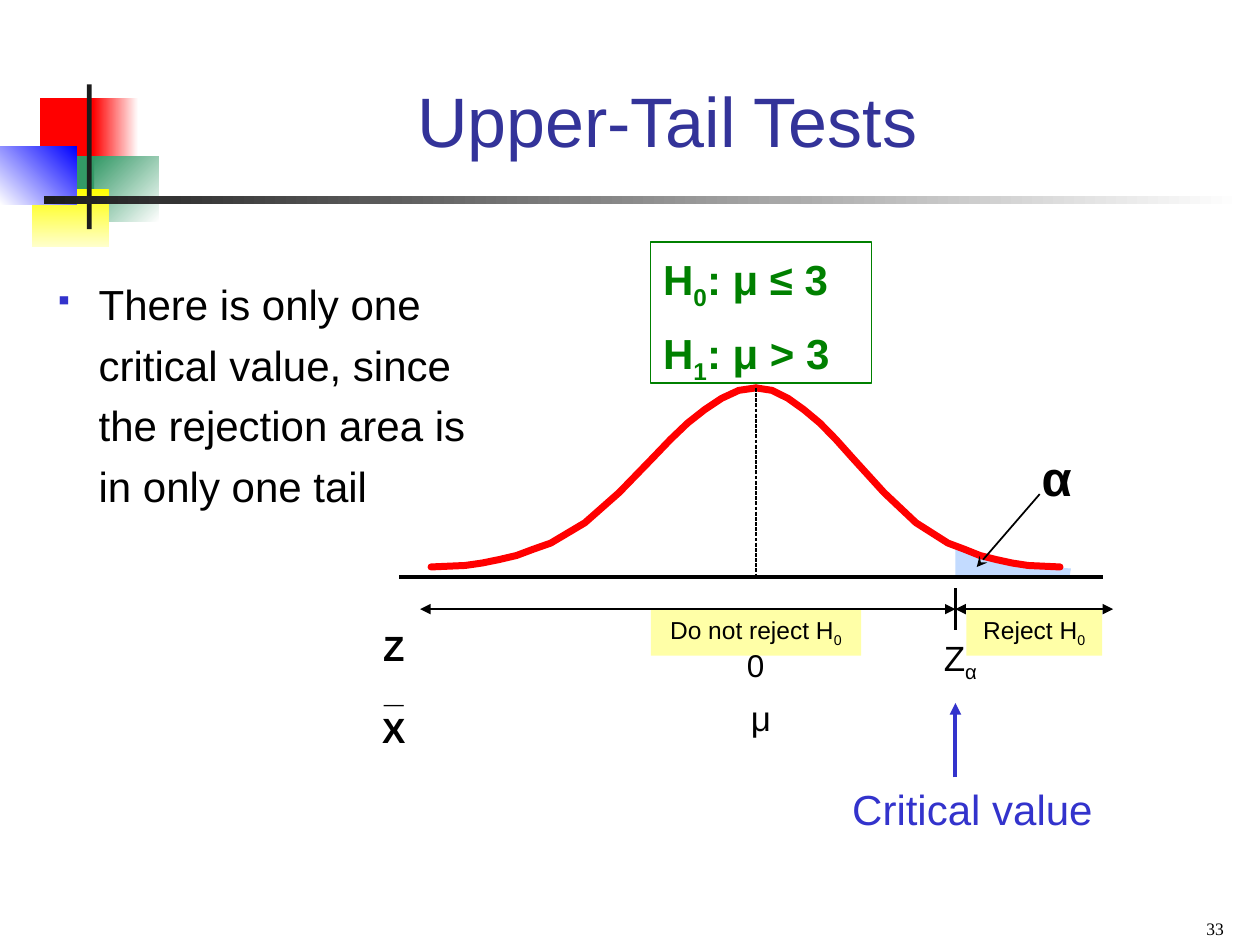
from dataclasses import dataclass

from lxml import etree
from pptx import Presentation
from pptx.dml.color import RGBColor
from pptx.enum.dml import MSO_LINE
from pptx.enum.shapes import MSO_CONNECTOR, MSO_SHAPE
from pptx.enum.text import MSO_ANCHOR, MSO_AUTO_SIZE, PP_ALIGN
from pptx.oxml.ns import qn
from pptx.util import Cm, Pt

RECTANGLE = MSO_SHAPE.RECTANGLE
STRAIGHT = MSO_CONNECTOR.STRAIGHT
LEFT, CENTER, RIGHT = PP_ALIGN.LEFT, PP_ALIGN.CENTER, PP_ALIGN.RIGHT
TOP, BOTTOM = MSO_ANCHOR.TOP, MSO_ANCHOR.BOTTOM
NO_AUTOFIT = MSO_AUTO_SIZE.NONE
DASHED = MSO_LINE.SQUARE_DOT


@dataclass(frozen=True)
class Theme:
    """Colours, fonts and type sizes of the slide."""
    font: str = "Arial"
    number_font: str = "Times New Roman"
    title: str = "333399"
    ink: str = "000000"
    accent: str = "3333CC"
    hypothesis: str = "008000"
    curve: str = "FF0000"
    tail: str = "C3DBFF"
    label: str = "FFFFA7"
    bar: str = "1C1C1C"
    white: str = "FFFFFF"
    red: str = "FF0000"
    green: str = "339966"
    yellow: str = "FFFF00"
    pale_yellow: str = "FFFFCC"
    blue: str = "0000FF"
    title_size: int = 40
    alpha_size: int = 28
    body_size: int = 24
    symbol_size: int = 20
    zero_size: int = 18
    label_size: int = 14
    number_size: int = 10


THEME = Theme()
MEAN_X, CRITICAL_X = 15.24, 19.26
PEAK_Y, AXIS_Y, ARROW_Y = 7.82, 11.63, 12.28
CURVE_STEPS = (0, 2, 3, 4, 5, 6, 7, 9, 11, 13, 14, 15, 16, 17, 18, 19)
CURVE_HEIGHTS = (11.43, 11.4, 11.35, 11.28, 11.2, 11.07, 10.95, 10.54,
                 9.93, 9.22, 8.86, 8.53, 8.26, 8.03, 7.87, PEAK_Y)


def rgb(color):
    """Turn a hex string into a colour."""
    return RGBColor.from_string(color)


def add_spans(para, spans, size, color=THEME.ink, bold=False, font=THEME.font):
    """Add runs to a paragraph; a leading underscore pair marks a subscript."""
    for text, lowered in spans:
        span = para.add_run()
        span.text = text
        span.font.name, span.font.size, span.font.bold = font, Pt(size), bold
        span.font.color.rgb = rgb(color)
        if lowered:
            span._r.get_or_add_rPr().set("baseline", "-25000")


def plain(text):
    """Describe a single run on the baseline."""
    return [(text, False)]


def with_subscript(text, subscript, rest=""):
    """Describe text followed by a subscript and an optional remainder."""
    return [(text, False), (subscript, True)] + (plain(rest) if rest else [])


def prepare_frame(shape, anchor=TOP):
    """Set wrapping, anchor and fitting, and return the first paragraph."""
    frame = shape.text_frame
    frame.word_wrap = True
    frame.auto_size = NO_AUTOFIT
    frame.vertical_anchor = anchor
    return frame.paragraphs[0]


def add_text(page, area, spans, size, align=CENTER, anchor=TOP, **style):
    """Add a one-paragraph text box and return its paragraph."""
    box = page.shapes.add_textbox(*map(Cm, area))
    para = prepare_frame(box, anchor)
    para.alignment = align
    add_spans(para, spans, size, **style)
    return para


def add_rectangle(page, area, *colors, angle=0):
    """Add a borderless rectangle with no fill, one colour or a gradient."""
    shape = page.shapes.add_shape(RECTANGLE, *map(Cm, area))
    shape.shadow.inherit = False
    shape.line.fill.background()
    if len(colors) == 2:
        shape.fill.gradient()
        shape.fill.gradient_angle = angle
        for stop, color in zip(shape.fill.gradient_stops, colors):
            stop.color.rgb = rgb(color)
    elif colors:
        shape.fill.solid()
        shape.fill.fore_color.rgb = rgb(colors[0])
    else:
        shape.fill.background()
    return shape


def add_line(page, start, end, width, color=THEME.ink, head=None, tail=None):
    """Add a straight line with optional arrowheads."""
    line = page.shapes.add_connector(STRAIGHT, *map(Cm, (*start, *end)))
    line.line.width = Pt(width)
    line.line.color.rgb = rgb(color)
    outline = line.line._get_or_add_ln()
    for tag, kind in (("a:headEnd", head), ("a:tailEnd", tail)):
        if kind:
            etree.SubElement(outline, qn(tag)).set("type", kind)
    etree.SubElement(line._element.spPr, qn("a:effectLst"))
    return line


def add_outline(page, points, closed):
    """Add a freeform through points given in centimetres."""
    corners = [(Cm(x), Cm(y)) for x, y in points]
    builder = page.shapes.build_freeform(*corners[0])
    builder.add_line_segments(corners[1:], close=closed)
    shape = builder.convert_to_shape()
    shape.shadow.inherit = False
    return shape


def add_half_curve(page, reach):
    """Draw one side of the bell, reaching a signed distance from the mean."""
    points = [(MEAN_X + reach * (1 - step / 19), height)
              for step, height in zip(CURVE_STEPS, CURVE_HEIGHTS)]
    half = add_outline(page, points, closed=False)
    half.fill.background()
    half.line.color.rgb = rgb(THEME.curve)
    half.line.width = Pt(4)
    outline = half.line._get_or_add_ln()
    outline.set("cap", "rnd")
    etree.SubElement(outline, qn("a:round"))


def add_ornament(page):
    """Draw the coloured blocks and the bars beside the title."""
    add_rectangle(page, (0.81, 1.98, 1.22, 1.32), THEME.red)
    add_rectangle(page, (1.88, 1.98, 0.91, 1.32), THEME.white, THEME.red, angle=180)
    add_rectangle(page, (1.9, 3.15, 1.3, 1.32), THEME.white, THEME.green, angle=135)
    add_rectangle(page, (1.09, 3.15, 0.81, 1.32), THEME.green)
    add_rectangle(page, (0.64, 3.81, 1.55, 1.17), THEME.yellow, THEME.pale_yellow, angle=270)
    add_rectangle(page, (0, 2.95, 1.55, 1.17), THEME.blue, THEME.white, angle=225)
    add_rectangle(page, (1.75, 1.7, 0.1, 2.92), THEME.bar)
    add_rectangle(page, (0.89, 3.96, 24.16, 0.15), THEME.white, THEME.bar, angle=180)


def add_title(page, text):
    """Place and format the title."""
    title = page.shapes.title
    title.left, title.top, title.width, title.height = map(Cm, (3.2, 0.64, 20.5, 2.74))
    para = prepare_frame(title, BOTTOM)
    para.alignment = CENTER
    add_spans(para, plain(text), THEME.title_size, THEME.title)


def add_region_label(page, left, width, text):
    """Add a yellow label under the decision arrows."""
    label = add_rectangle(page, (left, ARROW_Y, width, 0.94), THEME.label)
    para = prepare_frame(label)
    para.alignment = CENTER
    add_spans(para, with_subscript(text, "0"), THEME.label_size)


def add_hypotheses(page):
    """Add the framed pair of hypotheses."""
    frame = add_rectangle(page, (13.12, 4.88, 4.45, 2.84))
    frame.line.color.rgb = rgb(THEME.hypothesis)
    frame.line.width = Pt(0.75)
    first = prepare_frame(frame)
    second = frame.text_frame.add_paragraph()
    second.space_before = Pt(15)
    for para, spacing, index, claim in ((first, 1.1, "0", ": μ ≤ 3"),
                                        (second, 0.7, "1", ": μ > 3")):
        para.alignment = LEFT
        para.line_spacing = spacing
        add_spans(para, with_subscript("H", index, claim), THEME.body_size,
                  THEME.hypothesis, bold=True)


def add_bullet(page, area, text):
    """Add the bulleted remark."""
    para = add_text(page, area, plain(text), THEME.body_size, LEFT)
    para.line_spacing = 1.2
    properties = para._p.get_or_add_pPr()
    properties.set("marL", str(Cm(0.89)))
    properties.set("indent", str(Cm(-0.89)))
    color = etree.SubElement(properties, qn("a:buClr"))
    etree.SubElement(color, qn("a:srgbClr")).set("val", THEME.accent)
    etree.SubElement(properties, qn("a:buSzPct")).set("val", "60000")
    etree.SubElement(properties, qn("a:buChar")).set("char", "▪")


def add_distribution(page):
    """Draw the bell curve, its rejection tail and the decision arrows."""
    add_region_label(page, 19.48, 2.74, "Reject H")
    add_region_label(page, 13.12, 4.24, "Do not reject H")
    tail = add_outline(page, [(21.56, AXIS_Y), (21.59, 11.46), (20.57, 11.4), (19.89, 11.23),
                              (19.58, 11.18), (CRITICAL_X, 11), (CRITICAL_X, AXIS_Y)], True)
    tail.fill.solid()
    tail.fill.fore_color.rgb = rgb(THEME.tail)
    tail.line.fill.background()
    for reach in (-6.55, 6.13):
        add_half_curve(page, reach)
    add_line(page, (8.05, AXIS_Y), (22.23, AXIS_Y), 2)
    add_line(page, (20.96, 9.96), (19.69, 11.43), 1, tail="stealth")
    add_line(page, (MEAN_X, PEAK_Y), (MEAN_X, AXIS_Y), 0.75).line.dash_style = DASHED
    add_line(page, (CRITICAL_X, 11.86), (CRITICAL_X, 12.7), 1.5)
    for start, end in ((CRITICAL_X, 22.44), (8.47, CRITICAL_X)):
        add_line(page, (start, ARROW_Y), (end, ARROW_Y), 1.5, head="triangle", tail="triangle")
    add_line(page, (CRITICAL_X, 15.67), (CRITICAL_X, 14.17), 2.25, THEME.accent, tail="triangle")


def add_symbols(page):
    """Add the labels of the axes, the mean and the critical value."""
    add_text(page, (20.75, 8.89, 1.48, 1.42), plain("α"), THEME.alpha_size, LEFT, bold=True)
    add_text(page, (18.62, 12.7, 1.48, 1.22), with_subscript("Z", "α"), THEME.symbol_size)
    add_text(page, (14.6, 12.9, 1.27, 1.02), plain("0"), THEME.zero_size)
    add_text(page, (14.6, 13.92, 1.48, 1.12), plain("μ"), THEME.symbol_size)
    for top, text in ((12.5, "Z"), (14.15, "X"), (13.34, "_")):
        add_text(page, (7.2, top, 1.48, 1.12), plain(text), THEME.symbol_size, bold=True)
    add_text(page, (16.93, 15.67, 5.51, 1.27), plain("Critical value"), THEME.body_size,
             LEFT, color=THEME.accent)


def main():
    """Build and save the slide."""
    deck = Presentation()
    deck.slide_width, deck.slide_height = Cm(25.4), Cm(19.05)
    page = deck.slides.add_slide(deck.slide_layouts[5])
    add_ornament(page)
    add_title(page, "Upper-Tail Tests")
    add_distribution(page)
    add_symbols(page)
    add_hypotheses(page)
    add_bullet(page, (0.85, 5.29, 9.31, 6.14), "There is only one critical value, since "
               "the rejection area is in only one tail")
    add_text(page, (19, 18.16, 5.92, 0.89), plain("33"), THEME.number_size, RIGHT, BOTTOM,
             font=THEME.number_font)
    deck.save("out.pptx")


if __name__ == "__main__":
    main()
